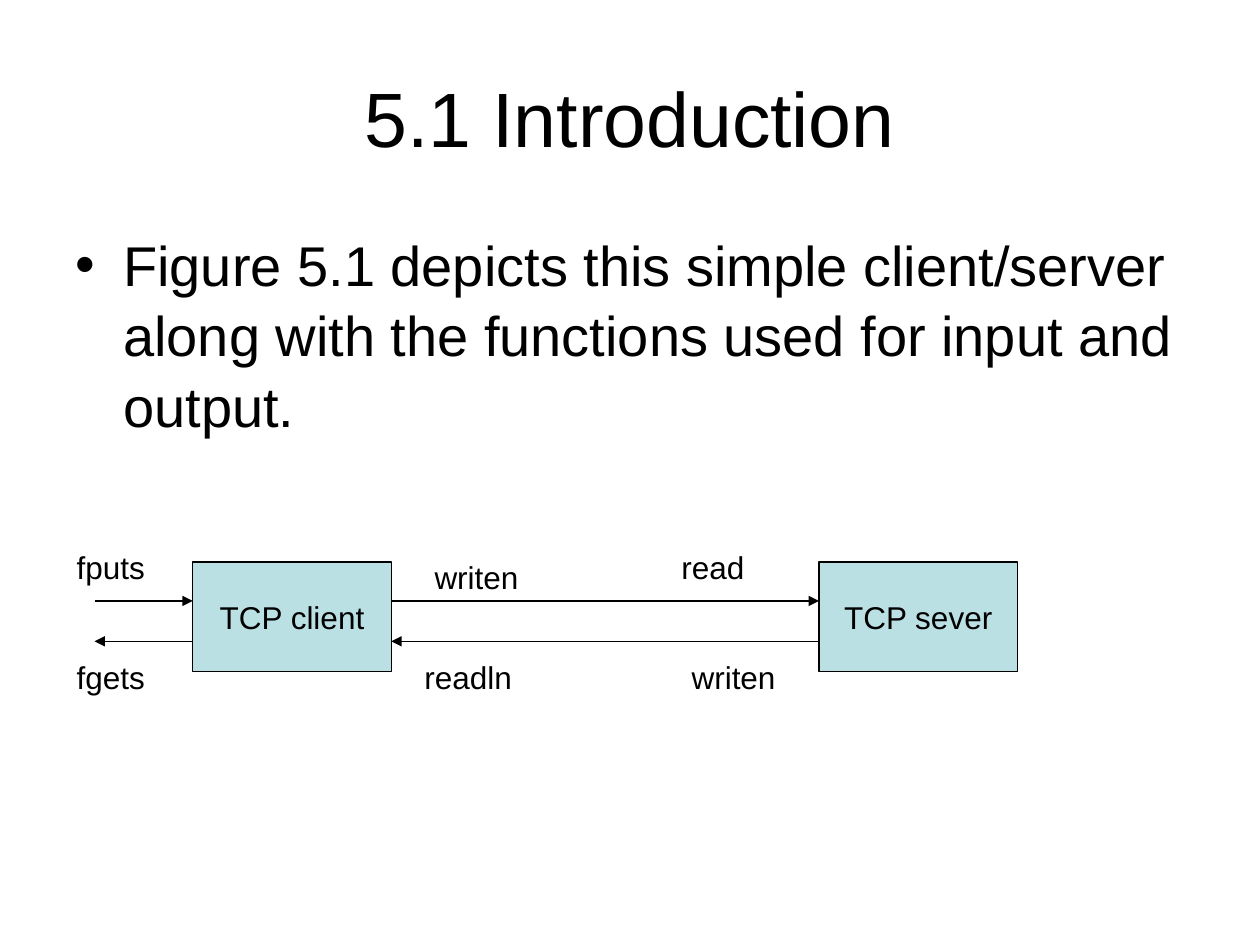
import pptx
import pptx.util
import pptx.dml.color
import pptx.enum.shapes
import pptx.enum.text
import pptx.oxml.ns
import lxml.etree

COLORS = {"ink": "000000", "node": "BBE0E3", "paper": "FFFFFF"}
FONT = "Arial"
CELL = 0.5  # inches: the page is a grid of 20 columns by 15 rows
ALIGN = pptx.enum.text.PP_ALIGN
ANCHOR = pptx.enum.text.MSO_ANCHOR


def color(name):
    return pptx.dml.color.RGBColor.from_string(COLORS[name])


def grid(*cells):
    return [pptx.util.Inches(cell * CELL) for cell in cells]


def add_xml(parent, tag, **attributes):
    return lxml.etree.SubElement(parent, pptx.oxml.ns.qn(tag), attributes)


def write(frame, text, size=18, align=ALIGN.LEFT, anchor=ANCHOR.TOP, wrap=True,
          before=0, spacing=None, bullet=None):
    frame.word_wrap = wrap
    frame.vertical_anchor = anchor
    para = frame.paragraphs[0]
    para.alignment = align
    para.space_before = pptx.util.Pt(before)
    if spacing:
        para.line_spacing = spacing
    if bullet:
        properties = para._p.get_or_add_pPr()
        indent = pptx.util.Inches(0.38)
        properties.set("marL", str(indent))
        properties.set("indent", str(-indent))
        add_xml(properties, "a:buFont", typeface=FONT)
        add_xml(properties, "a:buChar", char=bullet)
    span = para.add_run()
    span.text = text
    span.font.name = FONT
    span.font.size = pptx.util.Pt(size)
    span.font.color.rgb = color("ink")


class Canvas:
    def __init__(self):
        self.deck = pptx.Presentation()
        self.deck.slide_width, self.deck.slide_height = grid(20, 15)
        self.page = self.deck.slides.add_slide(self.deck.slide_layouts[6])
        self.page.background.fill.solid()
        self.page.background.fill.fore_color.rgb = color("paper")

    def outline(self, line):
        line.color.rgb = color("ink")
        line.width = pptx.util.Pt(0.75)

    def text(self, place, text, **style):
        box = self.page.shapes.add_textbox(*grid(*place))
        write(box.text_frame, text, **style)

    def node(self, place, text):
        box = self.page.shapes.add_shape(
            pptx.enum.shapes.MSO_SHAPE.RECTANGLE, *grid(*place))
        box.shadow.inherit = False
        box.fill.solid()
        box.fill.fore_color.rgb = color("node")
        self.outline(box.line)
        write(box.text_frame, text, align=ALIGN.CENTER,
              anchor=ANCHOR.MIDDLE, wrap=False)

    def arrow(self, start, end, row):
        arrow = self.page.shapes.add_connector(
            pptx.enum.shapes.MSO_CONNECTOR.STRAIGHT,
            *grid(start, row, end, row))
        self.outline(arrow.line)
        add_xml(arrow.line._get_or_add_ln(), "a:tailEnd", type="triangle")
        add_xml(arrow._element.spPr, "a:effectLst")


def main():
    canvas = Canvas()

    # Title and body
    canvas.text((1, 0.6, 18, 2.5), "5.1 Introduction", size=44,
                align=ALIGN.CENTER, anchor=ANCHOR.MIDDLE)
    canvas.text((1, 3.5, 18, 9.9),
                "Figure 5.1 depicts this simple client/server along with "
                "the functions used for input and output.",
                size=32, before=8, spacing=1.05, bullet="•")

    # Client and server
    client, server, width = 3.06, 13, 3.15
    for column, name in ((client, "TCP client"), (server, "TCP sever")):
        canvas.node((column, 8.92, width, 1.74), name)

    # A request and a reply arrow in each gap
    for left, right in ((client + width, server), (1.5, client)):
        canvas.arrow(left, right, 9.54)
        canvas.arrow(right, left, 10.18)

    # Function names above and below the arrows
    above, below = 8.6, 10.34
    labels = (
        (6.7, 8.76, "writen"), (10.78, below, "writen"),
        (10.62, above, "read"), (6.54, below, "readln"),
        (1.02, above, "fputs"), (1.02, below, "fgets"),
    )
    for column, row, name in labels:
        canvas.text((column, row, 2.04, 0.8), name, before=11.2)

    canvas.deck.save("out.pptx")


if __name__ == "__main__":
    main()
